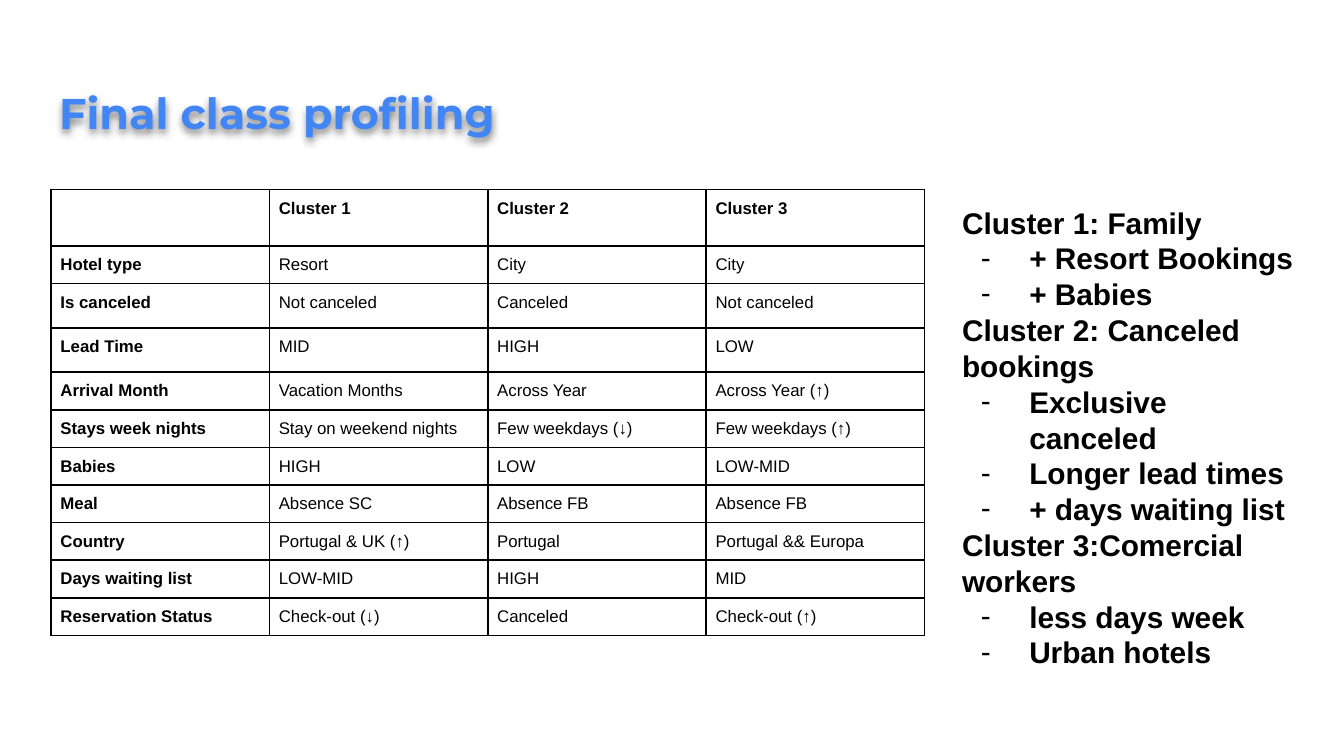
from lxml import etree
from pptx import Presentation
from pptx.dml.color import RGBColor
from pptx.enum import shapes, text
from pptx.oxml import ns
from pptx.util import Inches, Pt

BLUE = RGBColor(0x42, 0x85, 0xF4)
BLACK = RGBColor(0, 0, 0)
WHITE = RGBColor(255, 255, 255)

ROWS = [
    ("", "Cluster 1", "Cluster 2", "Cluster 3"),
    ("Hotel type", "Resort", "City", "City"),
    ("Is canceled", "Not canceled", "Canceled", "Not canceled"),
    ("Lead Time", "MID", "HIGH", "LOW"),
    ("Arrival Month", "Vacation Months", "Across Year", "Across Year (↑)"),
    ("Stays week nights", "Stay on weekend nights", "Few weekdays (↓)", "Few weekdays (↑)"),
    ("Babies", "HIGH", "LOW", "LOW-MID"),
    ("Meal", "Absence SC", "Absence FB", "Absence FB"),
    ("Country", "Portugal & UK (↑)", "Portugal", "Portugal && Europa"),
    ("Days waiting list", "LOW-MID", "HIGH", "MID"),
    ("Reservation Status", "Check-out (↓)", "Canceled", "Check-out (↑)"),
]
HIGHS = [0.42, 0.28, 0.33, 0.33] + [0.28] * 7

GROUPS = [
    ("Cluster 1: Family", ["+ Resort Bookings", "+ Babies"]),
    ("Cluster 2: Canceled bookings",
     ["Exclusive canceled", "Longer lead times", "+ days waiting list"]),
    ("Cluster 3:Comercial workers", ["less days week", "Urban hotels"]),
]


def add(node, tag, **attrs):
    """Append a DrawingML child and return it."""
    child = etree.SubElement(node, ns.qn(tag))
    for key, val in attrs.items():
        child.set(key, str(val))
    return child


class Deck:
    """Holds the style and the current slide."""

    font = "Arial"
    pad = 0.07

    def __init__(self, wide, high):
        """Start a deck with one title-only slide."""
        self.prs = Presentation()
        self.prs.slide_width = Inches(wide)
        self.prs.slide_height = Inches(high)
        self.slide = self.prs.slides.add_slide(self.prs.slide_layouts[5])

    def style(self, para, size, color=BLACK, bold=True, font=None):
        """Format every run of a paragraph."""
        for run in para.runs:
            run.font.name = font or self.font
            run.font.size = Pt(size)
            run.font.bold = bold
            run.font.color.rgb = color

    def inset(self, item, size):
        """Set four equal margins on a cell or a text frame."""
        item.margin_left = item.margin_right = Inches(size)
        item.margin_top = item.margin_bottom = Inches(size)

    def title(self, words, box):
        """Place the title with its soft shadow."""
        item = self.slide.shapes.title
        item.left, item.top, item.width, item.height = map(Inches, box)
        frame = item.text_frame
        frame.text = words
        frame.word_wrap = True
        frame.auto_size = text.MSO_AUTO_SIZE.NONE
        frame.vertical_anchor = text.MSO_ANCHOR.TOP
        self.inset(frame, 0.1)
        para = frame.paragraphs[0]
        para.alignment = text.PP_ALIGN.LEFT
        para.line_spacing = 1.15
        para.space_before = Pt(0)
        para.space_after = Pt(12)
        self.style(para, 23, BLUE, font="Montserrat")
        glow = add(add(item.element.spPr, "a:effectLst"), "a:outerShdw",
                   blurRad=Pt(4.5), dist=Pt(1.5), dir=5400000,
                   algn="bl", rotWithShape=0)
        add(add(glow, "a:srgbClr", val=BLACK), "a:alpha", val=50000)

    def cell(self, cell, words, bold):
        """Fill and border one table cell."""
        para = cell.text_frame.paragraphs[0]
        if words:
            para.text = words
            self.style(para, 9, bold=bold)
        else:
            add(para._p, "a:endParaRPr", sz=900)
        self.inset(cell, self.pad)
        props = cell._tc.get_or_add_tcPr()
        for side in ("a:lnL", "a:lnR", "a:lnT", "a:lnB"):
            line = add(props, side, w=Pt(1))
            add(add(line, "a:solidFill"), "a:srgbClr", val=BLACK)
        cell.fill.solid()
        cell.fill.fore_color.rgb = WHITE

    def table(self, rows, highs, left, top, wide):
        """Add a table with bold first row and column."""
        count = len(rows[0])
        grid = self.slide.shapes.add_table(
            len(rows), count, Inches(left), Inches(top),
            Inches(wide), Inches(sum(highs))).table
        for col in grid.columns:
            col.width = Inches(wide / count)
        for i, row in enumerate(rows):
            grid.rows[i].height = Inches(highs[i])
            for j, words in enumerate(row):
                self.cell(grid.cell(i, j), words, i == 0 or j == 0)

    def panel(self, groups, box):
        """Add a white box of headings with dashed points."""
        item = self.slide.shapes.add_shape(
            shapes.MSO_SHAPE.RECTANGLE, *map(Inches, box))
        item.shadow.inherit = False
        item.fill.solid()
        item.fill.fore_color.rgb = WHITE
        item.line.fill.background()
        frame = item.text_frame
        frame.word_wrap = True
        frame.vertical_anchor = text.MSO_ANCHOR.TOP
        self.inset(frame, 0.1)
        lines = [(words, dash) for head, points in groups
                 for words, dash in [(head, False)] + [(p, True) for p in points]]
        for i, (words, dash) in enumerate(lines):
            para = frame.add_paragraph() if i else frame.paragraphs[0]
            para.text = words
            para.alignment = text.PP_ALIGN.LEFT
            if dash:
                self.dash(para)
            self.style(para, 16)

    def dash(self, para):
        """Give a paragraph a hanging dash."""
        props = para._p.get_or_add_pPr()
        props.set("marL", str(Inches(0.5)))
        props.set("indent", str(Inches(-0.36)))
        add(add(props, "a:buClr"), "a:srgbClr", val=BLACK)
        add(props, "a:buFont", typeface=self.font)
        add(props, "a:buChar", char="-")


def main():
    """Build the slide."""
    wide = 10
    deck = Deck(wide, wide * 9 / 16)
    deck.title("Final class profiling", (0.34, 0.49, 9.32, 0.63))
    deck.table(ROWS, HIGHS, 0.38, 1.41, 6.5)
    deck.panel(GROUPS, (7.06, 1.42, 2.71, 3.54))
    deck.prs.save("out.pptx")


if __name__ == "__main__":
    main()
